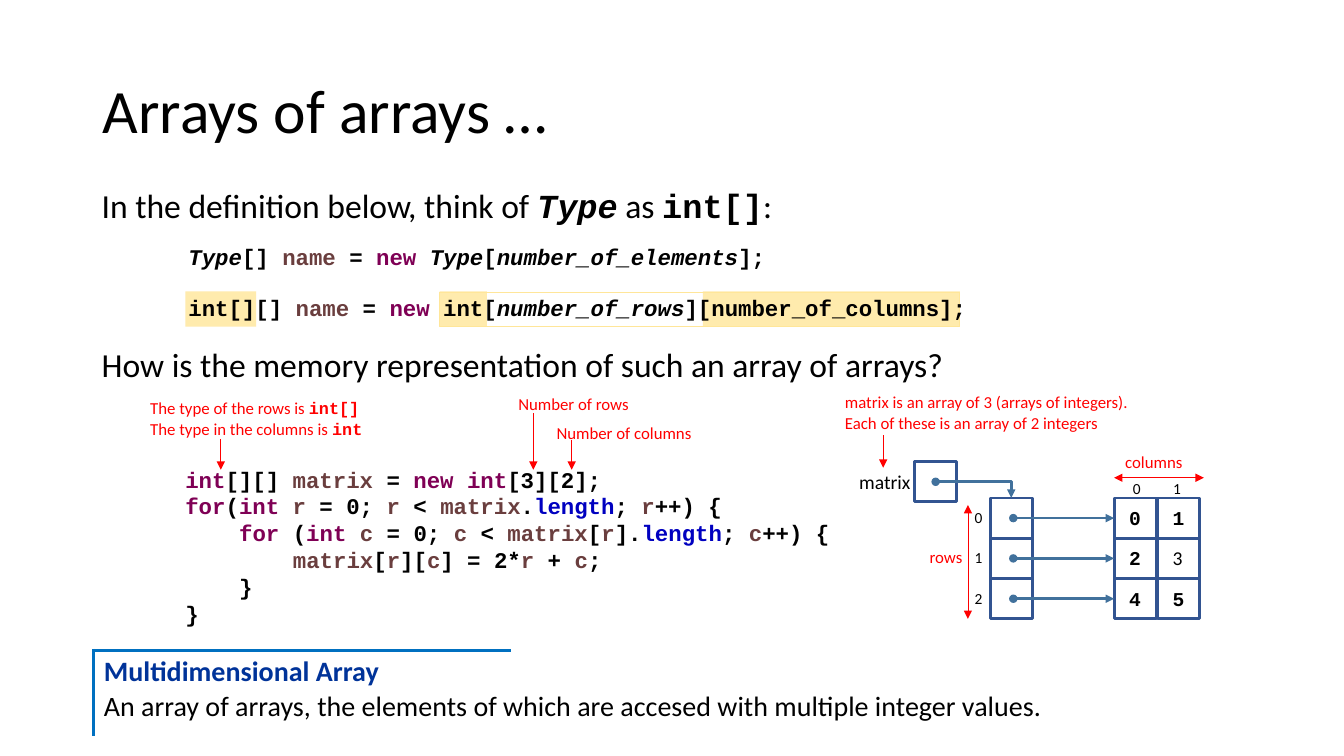
from dataclasses import dataclass, replace
from itertools import groupby

from lxml.etree import SubElement
from pptx import Presentation
from pptx.dml.color import RGBColor
from pptx.enum.shapes import MSO_CONNECTOR as CONNECTOR, MSO_SHAPE as SHAPE
from pptx.enum.text import MSO_ANCHOR as ANCHOR, MSO_AUTO_SIZE as AUTO_SIZE, PP_ALIGN as ALIGN
from pptx.oxml.ns import qn
from pptx.util import Inches, Pt

BLACK = RGBColor(0x00, 0x00, 0x00)
RED = RGBColor(0xFF, 0x00, 0x00)
KEYWORD = RGBColor(0x7F, 0x00, 0x55)
VARIABLE = RGBColor(0x6A, 0x3E, 0x3E)
FIELD = RGBColor(0x00, 0x00, 0xC0)
HIGHLIGHT = RGBColor(0xFF, 0xE6, 0x99)
CELL_LINE = RGBColor(0x32, 0x54, 0x91)
REFERENCE = RGBColor(0x41, 0x71, 0x9C)
TERM = RGBColor(0x00, 0x33, 0x99)
TERM_BORDER = RGBColor(0x00, 0x70, 0xC0)

CODE_INDENT = Pt(38.4)
CELL_WIDTH, CELL_HEIGHT = 0.42, 0.4
WORD_COLORS = {"int": KEYWORD, "for": KEYWORD, "new": KEYWORD, "matrix": VARIABLE,
               "r": VARIABLE, "c": VARIABLE, "length": FIELD}
PROGRAM = [
    (0, "int[][] matrix = new int[3][2];"),
    (0, "for(int r = 0; r < matrix.length; r++) {"),
    (1, "for (int c = 0; c < matrix[r].length; c++) {"),
    (2, "matrix[r][c] = 2*r + c;"),
    (1, "}"),
    (0, "}"),
]


@dataclass(frozen=True)
class Style:
    """Look of one run of text."""
    color: RGBColor = BLACK
    font: str = "Calibri"
    bold: bool = False
    italic: bool = False


PLAIN = Style()
CODE = Style(font="Courier New", bold=True)
CODE_ITALIC = replace(CODE, italic=True)
CODE_KEYWORD = replace(CODE, color=KEYWORD)
CODE_VARIABLE = replace(CODE, color=VARIABLE)
NOTE = Style(RED)
NOTE_CODE = replace(CODE, color=RED)


def write_runs(paragraph, runs, size):
    """Append styled runs to a paragraph."""
    for text, style in runs:
        run = paragraph.add_run()
        run.text = text
        run.font.size = Pt(size)
        run.font.name = style.font
        run.font.bold = style.bold
        run.font.italic = style.italic
        run.font.color.rgb = style.color


def add_text(slide, box, lines, size, inset=True, align=ALIGN.LEFT, wrap=True):
    """Add a text box with one paragraph per list of runs."""
    frame = slide.shapes.add_textbox(*map(Inches, box)).text_frame
    frame.word_wrap = wrap
    frame.auto_size = AUTO_SIZE.SHAPE_TO_FIT_TEXT
    if not inset:
        frame.margin_left = frame.margin_right = frame.margin_top = frame.margin_bottom = 0
    for index, runs in enumerate(lines):
        paragraph = frame.paragraphs[0] if index == 0 else frame.add_paragraph()
        paragraph.alignment = align
        write_runs(paragraph, runs, size)
    return frame


def add_label(slide, box, text, size=11, style=PLAIN, align=ALIGN.CENTER, wrap=True):
    """Add a one-run text box without insets."""
    add_text(slide, box, [[(text, style)]], size, False, align, wrap)


def add_box(slide, box, line=None, width=1, fill=None):
    """Add a rectangle with an outline or a translucent fill."""
    rectangle = slide.shapes.add_shape(SHAPE.RECTANGLE, *map(Inches, box))
    rectangle.shadow.inherit = False
    if fill is None:
        rectangle.fill.background()
    else:
        rectangle.fill.solid()
        rectangle.fill.fore_color.rgb = fill
        color = rectangle._element.spPr.find(qn("a:solidFill"))[0]
        SubElement(color, qn("a:alpha"), val="80000")
    if line is None:
        rectangle.line.fill.background()
    else:
        rectangle.line.color.rgb = line
        rectangle.line.width = Pt(width)
    return rectangle


def add_arrow(slide, start, end, color=RED, width=0.5, head=None, kind=CONNECTOR.STRAIGHT):
    """Add a connector with a triangle at its end and an optional head."""
    arrow = slide.shapes.add_connector(kind, *map(Inches, (*start, *end)))
    arrow.line.color.rgb = color
    arrow.line.width = Pt(width)
    properties = arrow._element.spPr
    outline = properties.find(qn("a:ln"))
    if head:
        SubElement(outline, qn("a:headEnd"), type=head)
    SubElement(outline, qn("a:tailEnd"), type="triangle")
    SubElement(properties, qn("a:effectLst"))
    return arrow


def add_title(slide, box):
    """Place and format the slide title."""
    title = slide.shapes.title
    title.left, title.top, title.width, title.height = map(Inches, box)
    title.text_frame.vertical_anchor = ANCHOR.MIDDLE
    paragraph = title.text_frame.paragraphs[0]
    paragraph.alignment = ALIGN.LEFT
    paragraph.line_spacing = 0.9
    write_runs(paragraph, [("Arrays of arrays …", PLAIN)], 44)


def add_definitions(slide, left, top):
    """Add the two declarations, their highlights and the question."""
    for x, width in [(0.93, 0.7), (3.45, 0.47), (6.06, 2.55)]:
        add_box(slide, (left + x, top + 1.1, width, 0.35), fill=HIGHLIGHT)
    add_box(slide, (left + 3.45, top + 1.11, 5.16, 0.34), line=HIGHLIGHT)
    assignment = [("name", CODE_VARIABLE), (" = ", CODE), ("new ", CODE_KEYWORD)]
    add_text(slide, (left, top, 11.59, 0.5), [[
        ("In the definition below, think of ", PLAIN), ("Type", CODE_ITALIC),
        (" as ", PLAIN), ("int[]", CODE), (":", PLAIN)]], 24)
    add_text(slide, (left + 0.86, top + 0.57, 8.11, 0.37), [[
        ("Type", CODE_ITALIC), ("[] ", CODE), *assignment, ("Type", CODE_ITALIC),
        ("[", CODE), ("number_of_elements", CODE_ITALIC), ("];", CODE)]], 16)
    add_text(slide, (left + 0.86, top + 1.08, 8.11, 0.37), [[
        ("int[][] ", CODE), *assignment, ("int[", CODE),
        ("number_of_rows", CODE_ITALIC), ("][number_of_columns];", CODE)]], 16)
    add_text(slide, (left, top + 1.57, 11.59, 0.5), [[
        ("How is the memory representation of such an array of arrays?", PLAIN)]], 24)


def add_program(slide, left, top):
    """Add the code with coloured words and the red notes above it."""
    lines = []
    for _, line in PROGRAM:
        words = ("".join(letters) for _, letters in groupby(line, str.isalnum))
        lines.append([(word, replace(CODE, color=WORD_COLORS.get(word, BLACK))) for word in words])
    frame = add_text(slide, (left + 0.25, top + 0.66, 6.75, 1.72), lines, 16)
    for paragraph, (depth, _) in zip(frame.paragraphs, PROGRAM):
        paragraph._p.get_or_add_pPr().set("marL", str(depth * CODE_INDENT))
    add_text(slide, (left, top + 0.04, 2.41, 0.4), [
        [("The type of the rows is ", NOTE), ("int[]", NOTE_CODE)],
        [("The type in the columns is ", NOTE), ("int", NOTE_CODE)]], 12, inset=False)
    add_label(slide, (left + 3.65, top, 1.11, 0.2), "Number of rows", 12, NOTE, ALIGN.LEFT)
    add_label(slide, (left + 4.03, top + 0.28, 1.47, 0.2), "Number of columns", 12, NOTE, ALIGN.LEFT)
    for x, y in [(0.7, 0.45), (3.8, 0.19), (4.18, 0.46)]:
        add_arrow(slide, (left + x, top + y), (left + x, top + 0.75))


def add_memory_diagram(slide, left, top):
    """Draw the matrix variable, its row references and the row values."""
    add_text(slide, (left + 0.23, top, 3.25, 0.4), [
        [("matrix is an array of 3 (arrays of integers).", NOTE)],
        [("Each of these is an array of 2 integers", NOTE)]], 12, inset=False)
    add_arrow(slide, (left + 0.61, top + 0.43), (left + 0.61, top + 0.75))
    add_label(slide, (left, top + 0.77, 0.88, 0.24), "matrix", 14, align=ALIGN.RIGHT)
    add_box(slide, (left + 0.92, top + 0.69, CELL_WIDTH, CELL_HEIGHT), CELL_LINE, 2)
    for row in range(3):
        y = top + 1.05 + row * CELL_HEIGHT
        reference = add_box(slide, (left + 1.67, y, CELL_WIDTH, CELL_HEIGHT), CELL_LINE, 2)
        add_label(slide, (left + 1.47, y + 0.1, 0.17, 0.19), str(row))
        for column in range(2):
            x = left + 2.9 + column * 0.43
            cell = add_box(slide, (x, y, CELL_WIDTH, CELL_HEIGHT), CELL_LINE, 2)
            value = 2 * row + column
            add_label(slide, (x + 0.15, y + 0.08, 0.12, 0.24), str(value), 14,
                      PLAIN if value == 3 else CODE, ALIGN.LEFT, False)
            if column == 0:
                middle = y + CELL_HEIGHT / 2
                link = add_arrow(slide, (left + 1.9, middle), (x, middle), REFERENCE, 2, "oval")
                link.end_connect(cell, 1)
        if row == 0:
            link = add_arrow(slide, (left + 1.13, top + 0.89), (left + 1.88, y),
                             REFERENCE, 2, "oval", CONNECTOR.ELBOW)
            link.end_connect(reference, 0)
            link._element.spPr.find(qn("a:prstGeom")).set("prst", "bentConnector2")
    for column in range(2):
        add_label(slide, (left + 3.04 + column * 0.4, top + 0.86, 0.17, 0.19), str(column))
    add_label(slide, (left + 1.07, top + 1.53, 0.4, 0.2), "rows", 12, NOTE, ALIGN.LEFT)
    add_label(slide, (left + 3.01, top + 0.59, 0.65, 0.2), "columns", 12, NOTE, ALIGN.LEFT)
    add_arrow(slide, (left + 1.45, top + 1.12), (left + 1.45, top + 2.25), head="triangle")
    add_arrow(slide, (left + 2.9, top + 0.85), (left + 3.79, top + 0.85), head="triangle")


def set_borders(cell, sides):
    """Draw the given sides of a table cell and clear the others."""
    properties = cell._tc.get_or_add_tcPr()
    for index, side in enumerate(("lnL", "lnR", "lnT", "lnB")):
        border = properties.makeelement(qn(f"a:{side}"), {"w": str(Pt(2.25))})
        properties.insert(index, border)
        if side in sides:
            fill = SubElement(border, qn("a:solidFill"))
            SubElement(fill, qn("a:srgbClr"), val=str(TERM_BORDER))
        else:
            SubElement(border, qn("a:noFill"))


def add_glossary(slide, left, top):
    """Add the definition of the term as a two-row table."""
    table = slide.shapes.add_table(2, 2, *map(Inches, (left, top, 9.54, 0.85))).table
    table.first_row = table.horz_banding = False
    for column, width in zip(table.columns, (4.14, 5.4)):
        column.width = Inches(width)
    for row, height in zip(table.rows, (0.39, 0.46)):
        row.height = Inches(height)
    term, blank, meaning, covered = table.iter_cells()
    meaning.merge(covered)
    for cell, sides in [(term, ("lnL", "lnT")), (blank, ()), (meaning, ("lnL",)), (covered, ())]:
        cell.fill.background()
        cell.margin_top = Inches(0.05 if cell is term else 0)
        cell.margin_bottom = 0
        set_borders(cell, sides)
    write_runs(term.text_frame.paragraphs[0],
               [("Multidimensional Array", Style(TERM, bold=True))], 20)
    write_runs(meaning.text_frame.paragraphs[0], [(
        "An array of arrays, the elements of which are accesed with multiple integer values.",
        PLAIN)], 20)


def main():
    """Build the slide and save it."""
    deck = Presentation()
    deck.slide_width, deck.slide_height = Inches(13.33), Inches(7.5)
    slide = deck.slides.add_slide(deck.slide_layouts[5])
    add_title(slide, (0.92, 0.4, 11.5, 1.45))
    add_definitions(slide, 0.91, 1.79)
    add_program(slide, 1.49, 3.91)
    add_memory_diagram(slide, 8.15, 3.89)
    add_glossary(slide, 0.93, 6.45)
    deck.save("out.pptx")


if __name__ == "__main__":
    main()
